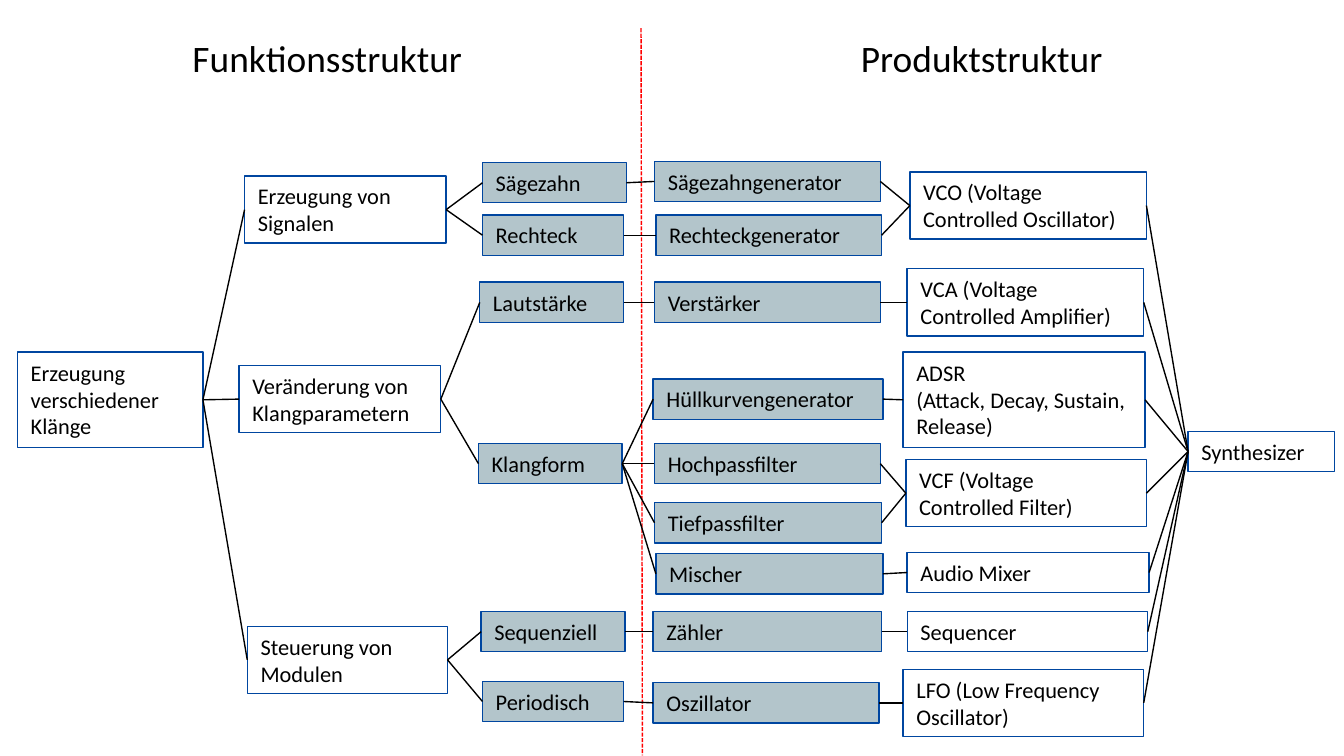
from lxml import etree
from pptx import Presentation
from pptx.dml.color import RGBColor
from pptx.enum import dml, shapes, text
from pptx.oxml import ns
from pptx.util import Inches, Pt

COLORS = {"border": "0046A0", "shared": "B3C5CB", "text": "000000",
          "link": "000000", "divider": "FF0000"}
FONT = "Calibri"
HEIGHTS = {1: 0.3, 2: 0.5, 3: 0.71}  # box height by number of text lines
LEFT_SITE, RIGHT_SITE = 1, 3

# key: (label, left, top, width, text lines)
PLAIN_BOXES = {
    "sounds": ("Erzeugung verschiedener Klänge", 0.13, 2.62, 1.38, 3),
    "signals": ("Erzeugung von Signalen", 1.82, 1.31, 1.5, 2),
    "parameters": ("Veränderung von Klangparametern", 1.78, 2.72, 1.5, 2),
    "control": ("Steuerung von Modulen", 1.84, 4.66, 1.49, 2),
    "vco": ("VCO (Voltage Controlled Oscillator)", 6.77, 1.28, 1.76, 2),
    "vca": ("VCA (Voltage Controlled Amplifier)", 6.75, 2, 1.76, 2),
    "adsr": ("ADSR\n(Attack, Decay, Sustain, Release)", 6.72, 2.62, 1.8, 3),
    "vcf": ("VCF (Voltage Controlled Filter)", 6.74, 3.42, 1.79, 2),
    "mixer": ("Audio Mixer", 6.75, 4.11, 1.8, 1),
    "sequencer": ("Sequencer", 6.75, 4.55, 1.79, 1),
    "lfo": ("LFO (Low Frequency Oscillator)", 6.72, 4.98, 1.79, 2),
    "synthesizer": ("Synthesizer", 8.84, 3.21, 1.09, 1),
}
SHARED_BOXES = {
    "saw": ("Sägezahn", 3.59, 1.21, 1.07, 1),
    "square": ("Rechteck", 3.59, 1.6, 1.05, 1),
    "volume": ("Lautstärke", 3.57, 2.1, 1.07, 1),
    "timbre": ("Klangform", 3.56, 3.3, 1.07, 1),
    "sequential": ("Sequenziell", 3.58, 4.55, 1.07, 1),
    "periodic": ("Periodisch", 3.59, 5.07, 1.05, 1),
    "saw generator": ("Sägezahngenerator", 4.87, 1.2, 1.68, 1),
    "square generator": ("Rechteckgenerator", 4.88, 1.6, 1.68, 1),
    "amplifier": ("Verstärker", 4.87, 2.1, 1.68, 1),
    "envelope": ("Hüllkurvengenerator", 4.86, 2.82, 1.71, 1),
    "high-pass": ("Hochpassfilter", 4.87, 3.3, 1.68, 1),
    "low-pass": ("Tiefpassfilter", 4.87, 3.74, 1.69, 1),
    "blender": ("Mischer", 4.88, 4.12, 1.69, 1),
    "counter": ("Zähler", 4.86, 4.55, 1.7, 1),
    "oscillator": ("Oszillator", 4.86, 5.08, 1.68, 1),
}
# each box and the boxes to its right that it leads to
LINKS = {
    "sounds": ["signals", "parameters", "control"],
    "signals": ["saw", "square"],
    "parameters": ["volume", "timbre"],
    "control": ["sequential", "periodic"],
    "saw": ["saw generator"],
    "square": ["square generator"],
    "volume": ["amplifier"],
    "timbre": ["envelope", "high-pass", "low-pass", "blender"],
    "sequential": ["counter"],
    "periodic": ["oscillator"],
    "saw generator": ["vco"],
    "square generator": ["vco"],
    "amplifier": ["vca"],
    "envelope": ["adsr"],
    "high-pass": ["vcf"],
    "low-pass": ["vcf"],
    "blender": ["mixer"],
    "counter": ["sequencer"],
    "oscillator": ["lfo"],
}
MODULES = ["vco", "vca", "adsr", "vcf", "mixer", "sequencer", "lfo"]
LINKS.update({module: ["synthesizer"] for module in MODULES})


def color(name):
    return RGBColor.from_string(COLORS[name])


def write(shape, label, size, align):
    """Fill the shape with one paragraph per line of the label."""
    frame = shape.text_frame
    frame.word_wrap = True
    frame.auto_size = text.MSO_AUTO_SIZE.SHAPE_TO_FIT_TEXT
    frame.vertical_anchor = text.MSO_ANCHOR.TOP
    for index, line in enumerate(label.split("\n")):
        para = frame.add_paragraph() if index else frame.paragraphs[0]
        para.alignment = align
        span = para.add_run()
        span.text = line
        span.font.name = FONT
        span.font.size = Pt(size)
        span.font.color.rgb = color("text")


def add_title(page, label, left, width):
    box = page.shapes.add_textbox(Inches(left), Inches(0.21), Inches(width), Inches(0.44))
    write(box, label, 20, text.PP_ALIGN.CENTER)


def add_box(page, label, left, top, width, lines, fill=None):
    box = page.shapes.add_shape(shapes.MSO_SHAPE.RECTANGLE, Inches(left), Inches(top),
                                Inches(width), Inches(HEIGHTS[lines]))
    box.shadow.inherit = False
    if fill:
        box.fill.solid()
        box.fill.fore_color.rgb = color(fill)
    else:
        box.fill.background()
    box.line.color.rgb = color("border")
    box.line.width = Pt(0.75)
    write(box, label, 12, text.PP_ALIGN.LEFT)
    return box


def add_line(page, name, start=(0, 0), end=(0, 0)):
    line = page.shapes.add_connector(shapes.MSO_CONNECTOR.STRAIGHT,
                                     *map(Inches, start + end))
    line.line.color.rgb = color(name)
    line.line.width = Pt(0.75)
    etree.SubElement(line._element.spPr, ns.qn("a:effectLst"))
    return line


def link(page, source, target):
    line = add_line(page, "link")
    line.begin_connect(source, RIGHT_SITE)
    line.end_connect(target, LEFT_SITE)


def main():
    deck = Presentation()
    deck.slide_width = Inches(10)
    deck.slide_height = deck.slide_width * 9 // 16
    page = deck.slides.add_slide(deck.slide_layouts[6])

    add_title(page, "Funktionsstruktur", 0.09, 4.69)
    add_title(page, "Produktstruktur", 4.77, 5.07)

    boxes = {key: add_box(page, *box) for key, box in PLAIN_BOXES.items()}
    for key, box in SHARED_BOXES.items():
        boxes[key] = add_box(page, *box, fill="shared")
    boxes["sequential"].text_frame.word_wrap = False

    divider = add_line(page, "divider", (4.77, 0.21), (4.78, 5.62))
    divider.line.dash_style = dml.MSO_LINE.SQUARE_DOT
    for source, targets in LINKS.items():
        for target in targets:
            link(page, boxes[source], boxes[target])

    deck.save("out.pptx")


if __name__ == "__main__":
    main()
